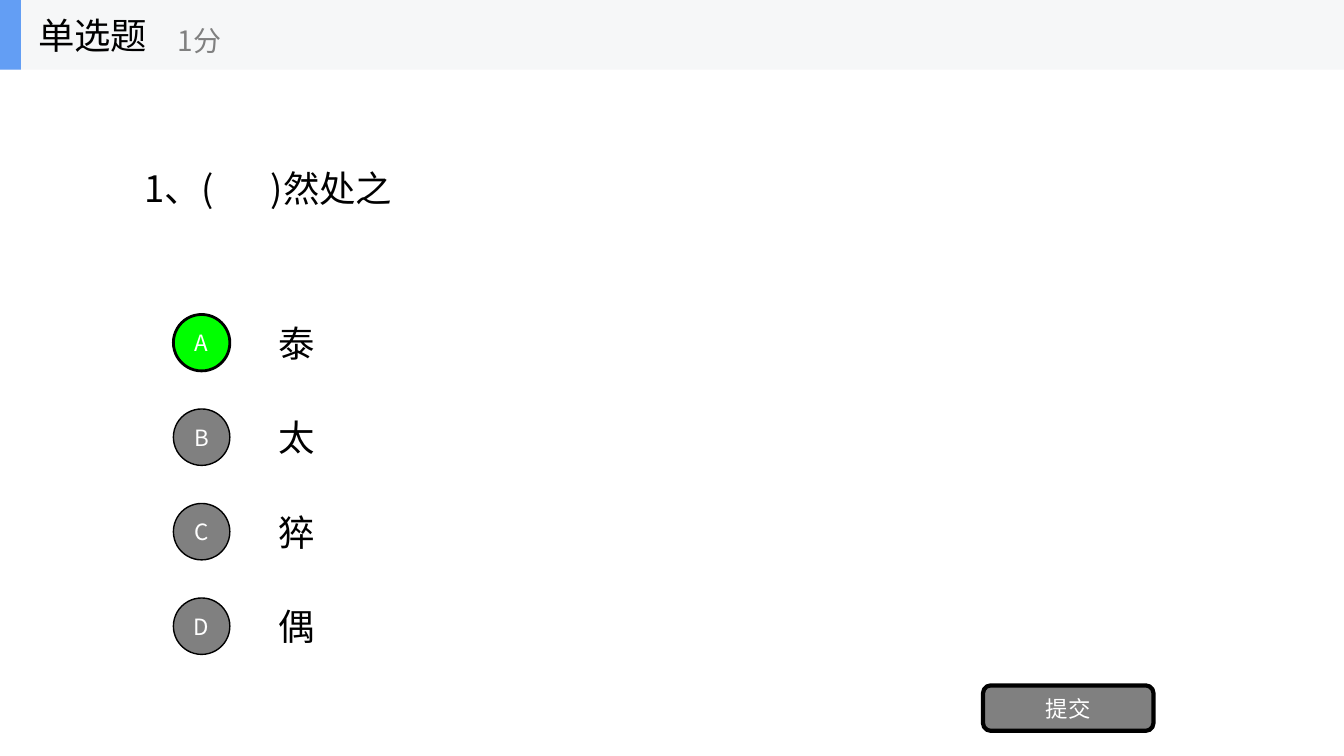
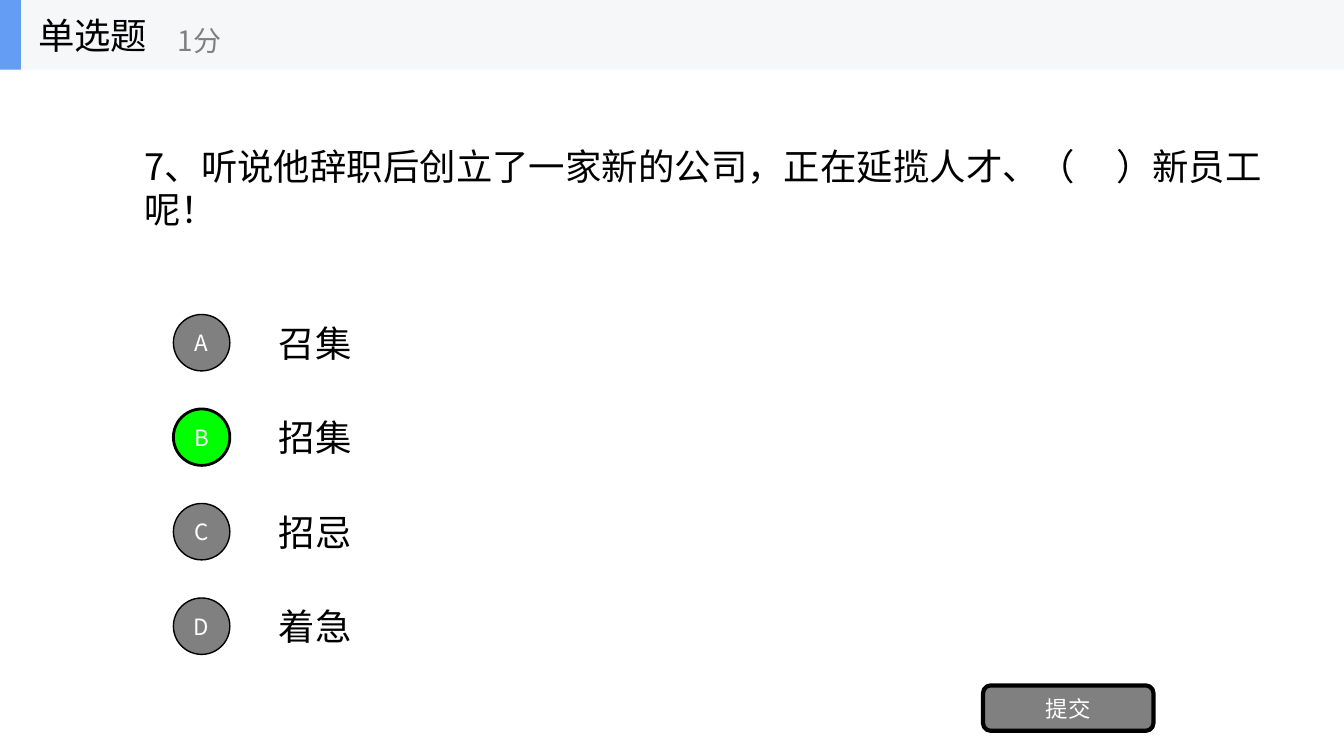
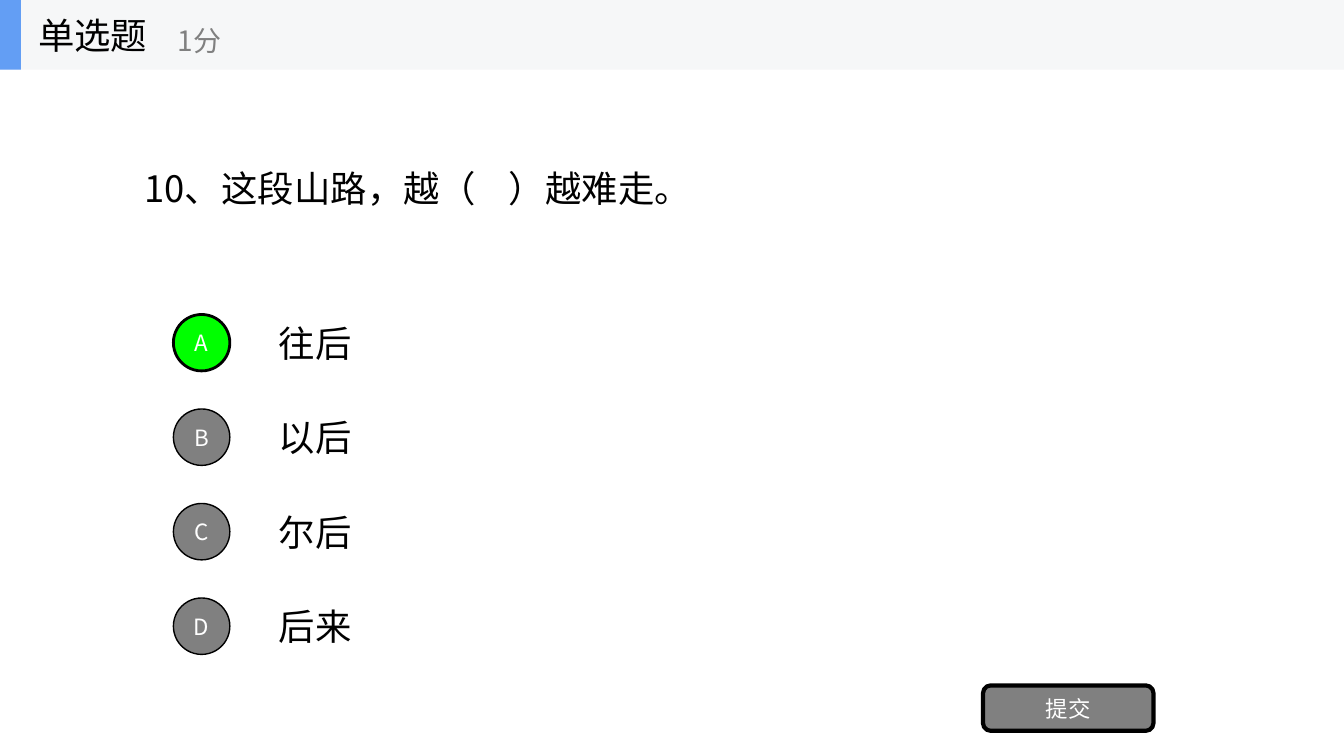
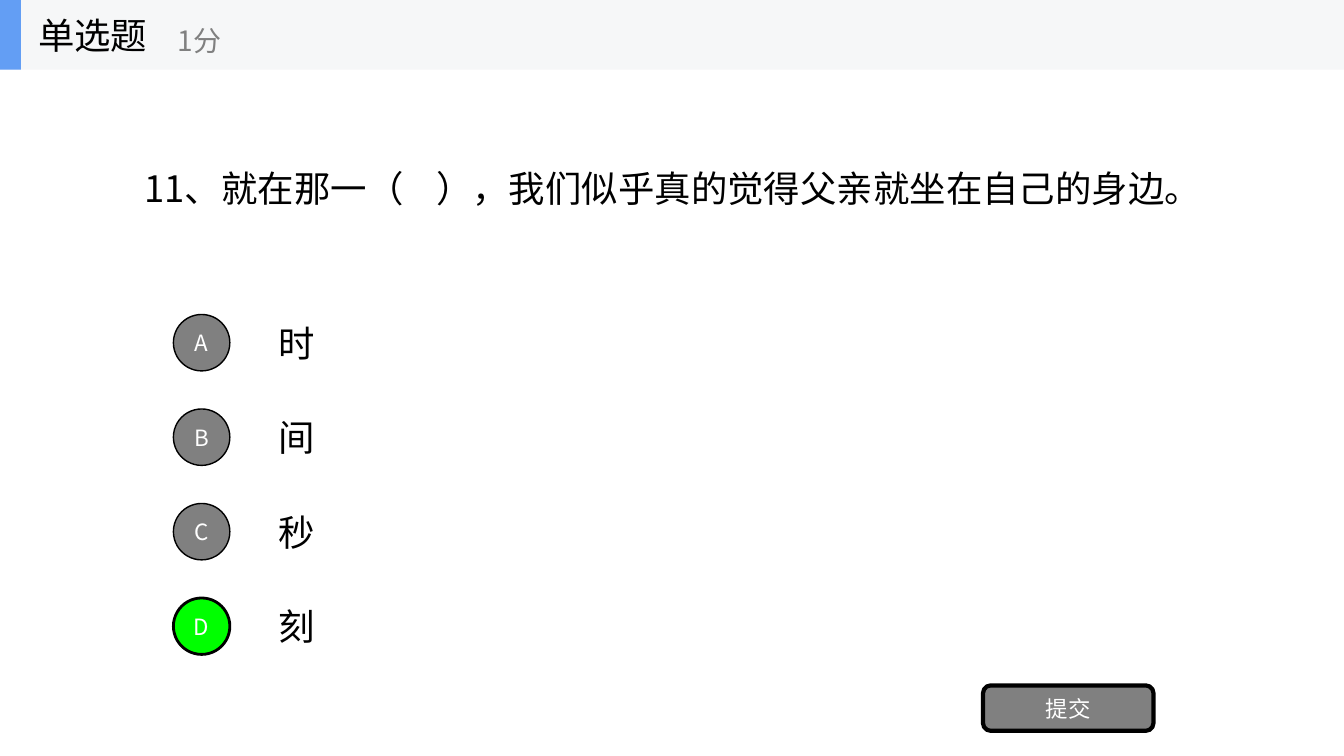
from lxml.etree import SubElement
from pptx import Presentation
from pptx.dml.color import RGBColor
from pptx.enum.shapes import MSO_SHAPE
from pptx.enum.text import MSO_ANCHOR, MSO_AUTO_SIZE, PP_ALIGN
from pptx.oxml.ns import qn
from pptx.util import Inches, Pt

FONT = "Noto Sans CJK SC"
HUE = {"ink": "000000", "gray": "808080", "white": "FFFFFF",
       "band": "F6F7F8", "blue": "639EF4", "right": "00FF00"}

deck = Presentation()
deck.slide_width, deck.slide_height = Inches(13.33), Inches(7.5)
W, H = deck.slide_width, deck.slide_height

# Grid: ten columns across, eight rows down
COL, ROW = W // 10, H // 8
BAND = Inches(0.69)     # header height
TOP = Inches(3.05)      # first option
TALL = Inches(0.7)      # option height
DOT = Inches(0.56)      # letter circle


def write(shape, text, size=26, color="ink", align=PP_ALIGN.LEFT, wrap=True):
    frame = shape.text_frame
    frame.word_wrap = wrap
    frame.auto_size = MSO_AUTO_SIZE.NONE
    frame.vertical_anchor = MSO_ANCHOR.MIDDLE
    line = frame.paragraphs[0]
    line.alignment = align
    run = line.add_run()
    run.text = text
    run.font.size = Pt(size)
    run.font.color.rgb = RGBColor.from_string(HUE[color])
    run.font.name = FONT
    SubElement(run.font._element, qn("a:ea"), typeface=FONT)


def draw(shapes, kind, place, fill, line=0):
    shape = shapes.add_shape(kind, *place)
    shape.shadow.inherit = False
    shape.fill.solid()
    shape.fill.fore_color.rgb = RGBColor.from_string(HUE[fill])
    if line:
        shape.line.color.rgb = RGBColor.from_string(HUE["ink"])
        shape.line.width = Pt(line)
    else:
        shape.line.fill.background()
    return shape


# Question, its width in columns, options, right letter
QUIZ = [
    ("1、(       )然处之 ", 8, ["泰", "太", "猝", "偶"], "A"),
    ("7、听说他辞职后创立了一家新的公司，正在延揽人才、（     ）新员工呢！", 8.48,
     ["召集", "招集", "招忌", "着急"], "B"),
    ("10、这段山路，越（    ）越难走。", 8, ["往后", "以后", "尔后", "后来"], "A"),
    ("11、就在那一（    ），我们似乎真的觉得父亲就坐在自己的身边。", 8,
     ["时", "间", "秒", "刻"], "D"),
]

for ask, span, picks, key in QUIZ:
    slide = deck.slides.add_slide(deck.slide_layouts[5])
    shapes = slide.shapes

    # Question as the slide title
    title = shapes.title
    title.left, title.top = COL, BAND
    title.width, title.height = int(span * COL), Inches(2.34)
    write(title, ask)

    # Options, one per row
    for i, (mark, pick) in enumerate(zip("ABCD", picks)):
        top = TOP + i * ROW
        write(shapes.add_textbox(2 * COL, top, 7 * COL, TALL), pick)
        good = mark == key
        dot = draw(shapes, MSO_SHAPE.OVAL,
                   (Inches(1.72), top + (TALL - DOT) // 2, DOT, DOT),
                   "right" if good else "gray", line=2 if good else 1)
        # Zero side insets keep the letter on one line
        dot.text_frame.margin_left = dot.text_frame.margin_right = 0
        write(dot, mark, size=16, color="white", align=PP_ALIGN.CENTER)

    # Submit button
    send = draw(shapes, MSO_SHAPE.ROUNDED_RECTANGLE,
                (Inches(9.75), Inches(6.8), Inches(1.69), Inches(0.45)),
                "gray", line=3)
    write(send, "提交", size=16, color="white", align=PP_ALIGN.CENTER)

    # Header band with question type and score
    head = shapes.add_group_shape().shapes
    draw(head, MSO_SHAPE.RECTANGLE, (0, 0, W, BAND), "band")
    draw(head, MSO_SHAPE.RECTANGLE, (0, 0, W // 64, BAND), "blue")
    write(head.add_textbox(Inches(0.28), 0, Inches(2.08), BAND), "单选题", wrap=False)
    write(head.add_textbox(W // 8, Inches(0.12), Inches(2.5), DOT), "1分",
          size=20, color="gray", wrap=False)

deck.save("out.pptx")
